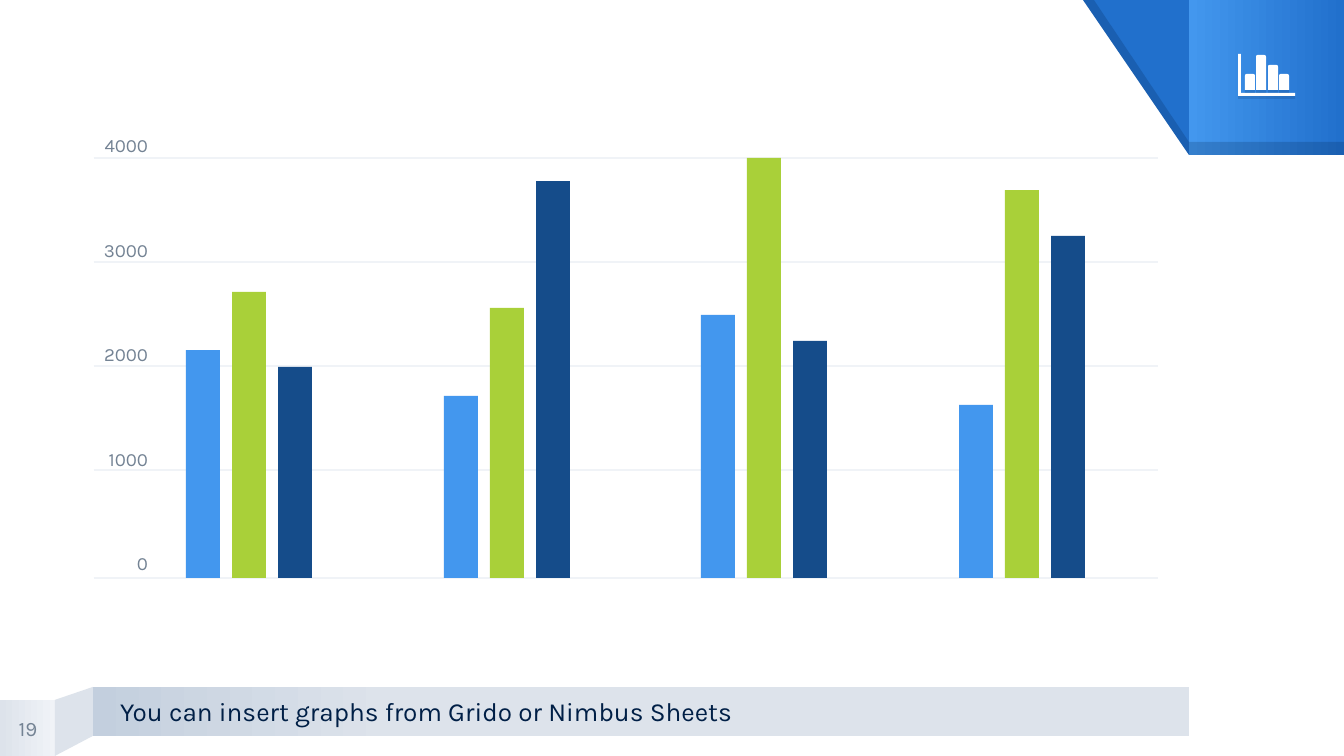
from dataclasses import dataclass

from lxml import etree
from pptx import Presentation
from pptx.dml.color import RGBColor
from pptx.enum.shapes import MSO_CONNECTOR, MSO_SHAPE
from pptx.enum.text import MSO_ANCHOR, MSO_AUTO_SIZE, PP_ALIGN
from pptx.oxml.ns import qn
from pptx.util import Pt

PX = 914400 / 134.4
RECTANGLE = MSO_SHAPE.RECTANGLE
TRIANGLE = MSO_SHAPE.RIGHT_TRIANGLE
ROUNDED_TOP = MSO_SHAPE.ROUND_2_SAME_RECTANGLE
STRAIGHT = MSO_CONNECTOR.STRAIGHT
TOP, MIDDLE = MSO_ANCHOR.TOP, MSO_ANCHOR.MIDDLE
LEFT, CENTER, RIGHT = PP_ALIGN.LEFT, PP_ALIGN.CENTER, PP_ALIGN.RIGHT
NO_AUTOFIT = MSO_AUTO_SIZE.NONE


@dataclass(frozen=True)
class Theme:
    """Colours and type of the deck."""
    font: str = "Karla"
    navy: str = "001F46"
    gray: str = "748394"
    blue: str = "2170CC"
    sky: str = "4397EE"
    mist: str = "DDE3EB"
    steel: str = "C3CFDE"
    pale: str = "F0F3F7"
    white: str = "FFFFFF"
    series: tuple = ("4397EE", "A9D039", "154C8A")
    caption_size: int = 14
    number_size: int = 11
    axis_size: int = 10


@dataclass(frozen=True)
class Box:
    """A rectangle in px."""
    left: int
    top: int
    width: int
    height: int

    def inner(self, left, top, width, height):
        """Return a box placed relative to this one."""
        return Box(self.left + left, self.top + top, width, height)

    def emu(self):
        """Return left, top, width and height in EMU."""
        return [round(length * PX) for length in
                (self.left, self.top, self.width, self.height)]


THEME = Theme()
BAR_HEIGHTS = ((228, 286, 211), (182, 270, 397), (263, 420, 237), (173, 388, 342))
AXIS_LABELS = ("4000", "3000", "2000", "1000", "0")


def paint(shape, color, alpha=None):
    """Give a shape a plain fill without outline or shadow."""
    shape.shadow.inherit = False
    shape.line.fill.background()
    shape.fill.solid()
    shape.fill.fore_color.rgb = RGBColor.from_string(color)
    if alpha is not None:
        tint = shape.element.spPr.find(f"{qn('a:solidFill')}/{qn('a:srgbClr')}")
        etree.SubElement(tint, qn("a:alpha")).set("val", str(alpha * 1000))
    return shape


def add_block(page, box, color, alpha=None, kind=RECTANGLE):
    """Add a filled preset shape."""
    return paint(page.shapes.add_shape(kind, *box.emu()), color, alpha)


def add_gradient(page, box, start, end, reach=1):
    """Add a rectangle shaded from left to right."""
    block = add_block(page, box, start)
    block.fill.gradient()
    block.fill.gradient_angle = 0
    for stop, color, place in zip(block.fill.gradient_stops, (start, end), (0, reach)):
        stop.color.rgb = RGBColor.from_string(color)
        stop.position = place


def add_outline(page, box, points, color, alpha=None):
    """Add a filled polygon with points relative to the box."""
    corners = [(box.left + x, box.top + y) for x, y in points]
    builder = page.shapes.build_freeform(*corners[0], scale=PX)
    builder.add_line_segments(corners[1:], close=True)
    return paint(builder.convert_to_shape(), color, alpha)


def drop_shadow(shape):
    """Add a faint hard shadow below a shape."""
    effects = shape.element.spPr.find(qn("a:effectLst"))
    shadow = etree.SubElement(effects, qn("a:outerShdw"), dist=str(int(Pt(1.5))), dir="5400000")
    tint = etree.SubElement(shadow, qn("a:srgbClr"), val=THEME.navy)
    etree.SubElement(tint, qn("a:alpha"), val="15000")


def write(shape, lines, size, color, align, anchor, gap=0):
    """Fill a text shape with evenly spaced paragraphs."""
    frame = shape.text_frame
    frame.text = "\n".join(lines)
    frame.word_wrap = True
    frame.auto_size = NO_AUTOFIT
    frame.vertical_anchor = anchor
    frame.margin_left = frame.margin_top = frame.margin_right = frame.margin_bottom = 0
    for index, para in enumerate(frame.paragraphs):
        para.alignment = align
        para.space_before = Pt(gap if index else 0)
        for span in para.runs:
            span.font.name = THEME.font
            span.font.size = Pt(size)
            span.font.color.rgb = RGBColor.from_string(color)


def add_icon(page, box):
    """Draw the white bar chart icon."""
    axes = ((0, 0), (3, 0), (3, 39), (57, 39), (57, 42), (0, 42))
    drop_shadow(add_outline(page, box, axes, THEME.white))
    for index, height in enumerate((16, 35, 25, 16)):
        bar = box.inner(7 + round(34 * index / 3), 36 - height, 10, height)
        drop_shadow(add_block(page, bar, THEME.white, kind=ROUNDED_TOP))


def add_corner(page, box):
    """Draw the folded ribbon in the corner."""
    fold, side = box.width - box.height, box.height
    add_block(page, box.inner(0, 0, fold, side), THEME.blue, kind=TRIANGLE).rotation = 180
    add_gradient(page, box.inner(fold, 0, side, side), THEME.sky, THEME.blue)
    add_block(page, box.inner(fold, side - 13, side, 13), THEME.navy, 20)
    edge = ((0, 0), (fold, side), (fold, side - 13), (11, 0))
    add_outline(page, box, edge, THEME.navy, 20)
    add_icon(page, box.inner(fold + 49, 54, 57, 42))


def add_footer(page, box, number, caption):
    """Draw the footer ribbon with page number and caption."""
    number_box = box.inner(0, 13, 56, 56)
    add_gradient(page, number_box, THEME.mist, THEME.pale)
    add_outline(page, box, ((55, 69), (93, 49), (93, 0), (55, 13)), THEME.mist)
    add_gradient(page, box.inner(93, 0, box.width - 93, 49), THEME.steel, THEME.mist, 0.27)

    body = page.placeholders[1]
    body.element.getparent().append(body.element)
    body.left, body.top, body.width, body.height = box.inner(120, 0, 1044, 49).emu()
    write(body, [caption], THEME.caption_size, THEME.navy, LEFT, MIDDLE)
    properties = body.text_frame.paragraphs[0]._p.get_or_add_pPr()
    properties.set("marL", "0")
    properties.set("indent", "0")
    etree.SubElement(properties, qn("a:buNone"))
    write(page.shapes.add_textbox(*number_box.emu()), [number],
          THEME.number_size, THEME.gray, CENTER, MIDDLE)


def add_graph(page, box):
    """Draw grid lines, axis labels and grouped bars."""
    for offset in (*range(24, 337, 104), box.height):
        left, top, width, _ = box.inner(0, offset, box.width, 0).emu()
        line = page.shapes.add_connector(STRAIGHT, left, top, left + width, top)
        line.line.color.rgb = RGBColor.from_string(THEME.pale)
        line.line.width = Pt(0.75)
        etree.SubElement(line.element.spPr, qn("a:effectLst"))
    labels = page.shapes.add_textbox(*box.inner(0, 0, 54, box.height).emu())
    write(labels, AXIS_LABELS, THEME.axis_size, THEME.gray, RIGHT, TOP, 44)
    for group, heights in enumerate(BAR_HEIGHTS):
        start = 92 + round(773 * group / 3)
        for index, (height, color) in enumerate(zip(heights, THEME.series)):
            bar = box.inner(start + 46 * index, box.height - height, 34, height)
            add_block(page, bar, color)


def main():
    """Build and save the deck."""
    deck = Presentation()
    deck.slide_width, deck.slide_height = Box(0, 0, 1344, 756).emu()[2:]
    page = deck.slides.add_slide(deck.slide_layouts[1])
    title = page.shapes.title.element
    title.getparent().remove(title)
    add_corner(page, Box(1083, 0, 261, 155))
    add_footer(page, Box(0, 687, 1189, 69), "19",
               "You can insert graphs from Grido or Nimbus Sheets")
    add_graph(page, Box(94, 134, 1064, 444))
    deck.save("out.pptx")


if __name__ == "__main__":
    main()
